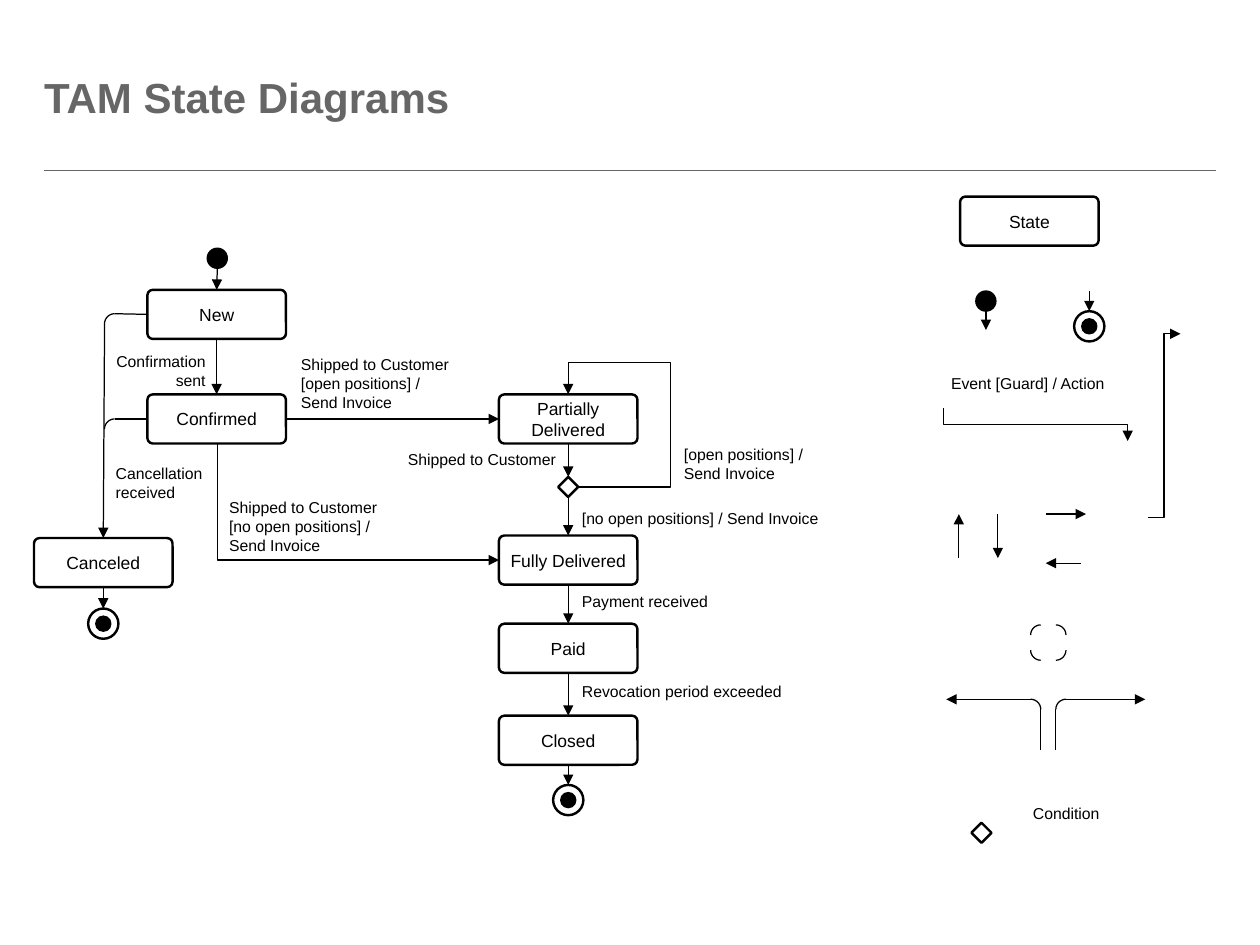
from math import cos, pi, sin

from pptx import Presentation
from pptx.dml.color import RGBColor
from pptx.enum.shapes import MSO_CONNECTOR, MSO_SHAPE
from pptx.enum.text import MSO_ANCHOR, MSO_AUTO_SIZE, PP_ALIGN
from pptx.oxml.ns import qn
from pptx.util import Inches, Pt
from lxml.etree import SubElement

BLACK = RGBColor(0x00, 0x00, 0x00)
WHITE = RGBColor(0xFF, 0xFF, 0xFF)
GRAY = RGBColor(0x66, 0x66, 0x66)

# The grid has 100 columns and 75 rows
COLUMNS, ROWS = 100, 75
STATE_WIDTH, STATE_HEIGHT = 11, 3.9
RADIUS = 0.8
TOP, LEFT, BOTTOM, RIGHT = range(4)


def cells(count):
    return Inches(count / 10)


class StateDiagram:
    font = "Arial"
    thin, thick = Pt(0.7), Pt(1.4)

    def __init__(self, page):
        self.shapes = page.shapes

    def add_text(self, frame, text, size, color=BLACK, bold=False, align=PP_ALIGN.LEFT):
        frame.word_wrap = True
        para = frame.paragraphs[0]
        para.alignment = align
        span = para.add_run()
        span.text = text
        span.font.name, span.font.size = self.font, Pt(size)
        span.font.bold, span.font.color.rgb = bold, color

    def title(self, text, left, top, width, height):
        box = self.shapes.add_textbox(*map(cells, (left, top, width, height)))
        frame = box.text_frame
        frame.margin_left = frame.margin_right = frame.margin_top = frame.margin_bottom = 0
        frame.vertical_anchor = MSO_ANCHOR.MIDDLE
        self.add_text(frame, text, 24, GRAY, True)

    def label(self, text, left, top, width, height=2.5, align=PP_ALIGN.LEFT):
        box = self.shapes.add_textbox(*map(cells, (left, top, width, height)))
        self.add_text(box.text_frame, text, 9, align=align)
        box.text_frame.auto_size = MSO_AUTO_SIZE.SHAPE_TO_FIT_TEXT

    def outline(self, kind, left, top, width, height, fill=WHITE, weight=thick):
        shape = self.shapes.add_shape(kind, *map(cells, (left, top, width, height)))
        shape.shadow.inherit = False
        shape.fill.solid()
        shape.fill.fore_color.rgb = fill
        shape.line.color.rgb, shape.line.width = BLACK, weight
        return shape

    def state(self, text, left, top):
        shape = self.outline(MSO_SHAPE.ROUNDED_RECTANGLE, left, top, STATE_WIDTH, STATE_HEIGHT)
        shape.adjustments[0] = 0.11
        frame = shape.text_frame
        frame.margin_left = frame.margin_right = cells(0.4)
        frame.margin_top = frame.margin_bottom = cells(0.4)
        frame.vertical_anchor = MSO_ANCHOR.MIDDLE
        self.add_text(frame, text, 10, align=PP_ALIGN.CENTER)
        return shape

    def diamond(self, left, top):
        return self.outline(MSO_SHAPE.DIAMOND, left, top, 1.6, 1.6)

    def dot(self, center, middle, size):
        return self.outline(MSO_SHAPE.OVAL, center - size / 2, middle - size / 2,
                            size, size, BLACK, Pt(0.75))

    def start(self, center, top, target=None):
        self.dot(center, top + 0.8, 1.6)
        self.line((center, top + 1.6), target or (center, top + 3.1))

    def final(self, center, top, source=None):
        ring = self.outline(MSO_SHAPE.OVAL, center - 1.2, top, 2.4, 2.4)
        self.dot(center, top + 1.2, 1.2)
        self.line(source or (center, top - 1.6), (ring, TOP))

    def finish(self, connector, color, weight, arrow):
        connector.line.color.rgb, connector.line.width = color, weight
        properties = connector._element.spPr
        if arrow:
            SubElement(properties.find(qn("a:ln")), qn("a:tailEnd"), type="triangle")
        SubElement(properties, qn("a:effectLst"))

    def line(self, begin, end, arrow=True, color=BLACK, weight=thin):
        """Each end is a (column, row) point or a (shape, side) pair."""
        points = [spot if isinstance(spot[0], (int, float)) else (0, 0) for spot in (begin, end)]
        connector = self.shapes.add_connector(
            MSO_CONNECTOR.STRAIGHT, *[cells(value) for point in points for value in point])
        for spot, join in ((begin, connector.begin_connect), (end, connector.end_connect)):
            if not isinstance(spot[0], (int, float)):
                join(*spot)
        self.finish(connector, color, weight, arrow)

    def elbow(self, begin, end, preset="bentConnector3", bends=(), downward=False):
        (x1, y1), (x2, y2) = begin, end
        if downward:  # turned a quarter about its center, so it leaves vertically
            center, middle = (x1 + x2) / 2, (y1 + y2) / 2
            across, down = (x2 - x1) / 2, (y2 - y1) / 2
            x1, y1, x2, y2 = center + down, middle - across, center - down, middle + across
        connector = self.shapes.add_connector(MSO_CONNECTOR.ELBOW, *map(cells, (x1, y1, x2, y2)))
        properties = connector._element.spPr
        if downward:
            properties.find(qn("a:xfrm")).set("rot", str(270 * 60000))
        geometry = properties.find(qn("a:prstGeom"))
        geometry.set("prst", preset)
        for number, share in enumerate(bends, 1):
            SubElement(geometry.find(qn("a:avLst")), qn("a:gd"),
                       name=f"adj{number}", fmla=f"val {round(share * 100000)}")
        self.finish(connector, BLACK, self.thin, True)

    def corner(self, center, middle, quarter, steps=12):
        """Quarter circle; quarters run clockwise, 0 is bottom right."""
        angles = [(quarter + step / steps) * pi / 2 for step in range(steps + 1)]
        points = [(cells(center + RADIUS * cos(angle)), cells(middle + RADIUS * sin(angle)))
                  for angle in angles]
        builder = self.shapes.build_freeform(*points[0])
        builder.add_line_segments(points[1:], close=False)
        arc = builder.convert_to_shape()
        arc.shadow.inherit = False
        arc.fill.background()
        arc.line.color.rgb, arc.line.width = BLACK, self.thin


def draw_process(diagram):
    # States
    new = diagram.state("New", 11.7, 23)
    confirmed = diagram.state("Confirmed", 11.7, 31.3)
    canceled = diagram.state("Canceled", 2.7, 42.7)
    partial, full, paid, closed = [
        diagram.state(text, 39.6, top) for text, top in (
            ("Partially Delivered", 31.3), ("Fully Delivered", 42.5),
            ("Paid", 49.5), ("Closed", 56.8))]

    # Transitions
    diagram.elbow((45.9, 38.65), (45.1, 31.3), "bentConnector4", (-9.14, 1.34))
    decision = diagram.diamond(44.3, 37.85)
    for source, target in ((new, confirmed), (partial, decision), (decision, full),
                           (full, paid), (paid, closed)):
        diagram.line((source, BOTTOM), (target, TOP))
    diagram.line((confirmed, RIGHT), (partial, LEFT))
    diagram.elbow((17.25, 35.2), (39.6, 44.45), "bentConnector2", downward=True)

    # Cancellation paths
    for source, row in ((new, 24.9), (confirmed, 33.25)):
        diagram.line((9.1, row), (source, LEFT), arrow=False)
        diagram.corner(9.1, row + RADIUS, 2)
    diagram.line((8.3, 25.7), (canceled, TOP))

    # Start and final states
    diagram.start(17.25, 19.7, (new, TOP))
    diagram.final(8.2, 48.3, (canceled, BOTTOM))
    diagram.final(45.1, 62.3, (closed, BOTTOM))

    # Transition labels
    diagram.label("Confirmation sent", 7.7, 27.4, 9.6, 4, PP_ALIGN.RIGHT)
    diagram.label("Cancellation received", 8.2, 36.3, 9.2, 4)
    diagram.label("Shipped to Customer [open positions] / Send Invoice", 22.9, 27.7, 14, 5.6)
    diagram.label("Shipped to Customer [no open positions] / Send Invoice", 17.2, 39, 14, 5.6)
    diagram.label("Shipped to Customer", 31.1, 35.2, 14, align=PP_ALIGN.RIGHT)
    diagram.label("[open positions] / Send Invoice", 53.3, 34.8, 13.6, 4)
    diagram.label("[no open positions] / Send Invoice", 45.2, 39.9, 22.7)
    diagram.label("Payment received", 45.2, 46.5, 14.1)
    diagram.label("Revocation period exceeded", 45.2, 53.6, 17.9)


def draw_legend(diagram):
    # State, start, final and event
    diagram.state("State", 76.2, 15.6)
    diagram.start(78.25, 23.1)
    diagram.final(86.45, 24.7)
    diagram.label("Event [Guard] / Action", 74.5, 29.2, 15.3)
    diagram.elbow((74.9, 32.4), (89.5, 35), downward=True)
    diagram.elbow((91.1, 41.1), (93.7, 26.5))

    # Straight arrows
    for begin, end in (((76.1, 44.3), (76.1, 40.8)), ((79.2, 40.8), (79.2, 44.3)),
                       ((83, 40.8), (86.2, 40.8)), ((85.8, 44.7), (83, 44.7))):
        diagram.line(begin, end)

    # Rounded corners
    for quarter, (center, middle) in enumerate(
            ((83.8, 51.6), (82.6, 51.6), (82.6, 50.4), (83.8, 50.4))):
        diagram.corner(center, middle, quarter)

    # Arrows with a rounded turn
    for stem, bend, tip, quarter in ((82.6, 81.8, 75.1, 3), (83.8, 84.6, 90.9, 2)):
        diagram.line((stem, 59.5), (stem, 56.3), arrow=False)
        diagram.corner(bend, 56.3, quarter)
        diagram.line((bend, 55.5), (tip, 55.5))

    # Condition
    diagram.label("Condition", 81, 63.3, 11)
    diagram.diamond(77.1, 65.3)


def main():
    deck = Presentation()
    deck.slide_width, deck.slide_height = cells(COLUMNS), cells(ROWS)
    diagram = StateDiagram(deck.slides.add_slide(deck.slide_layouts[6]))
    diagram.title("TAM State Diagrams", 3.5, 3.5, 92.9, 8.3)
    diagram.line((3.5, 13.5), (96.5, 13.5), arrow=False, color=GRAY, weight=Pt(0.5))
    draw_process(diagram)
    draw_legend(diagram)
    deck.save("out.pptx")


if __name__ == "__main__":
    main()
